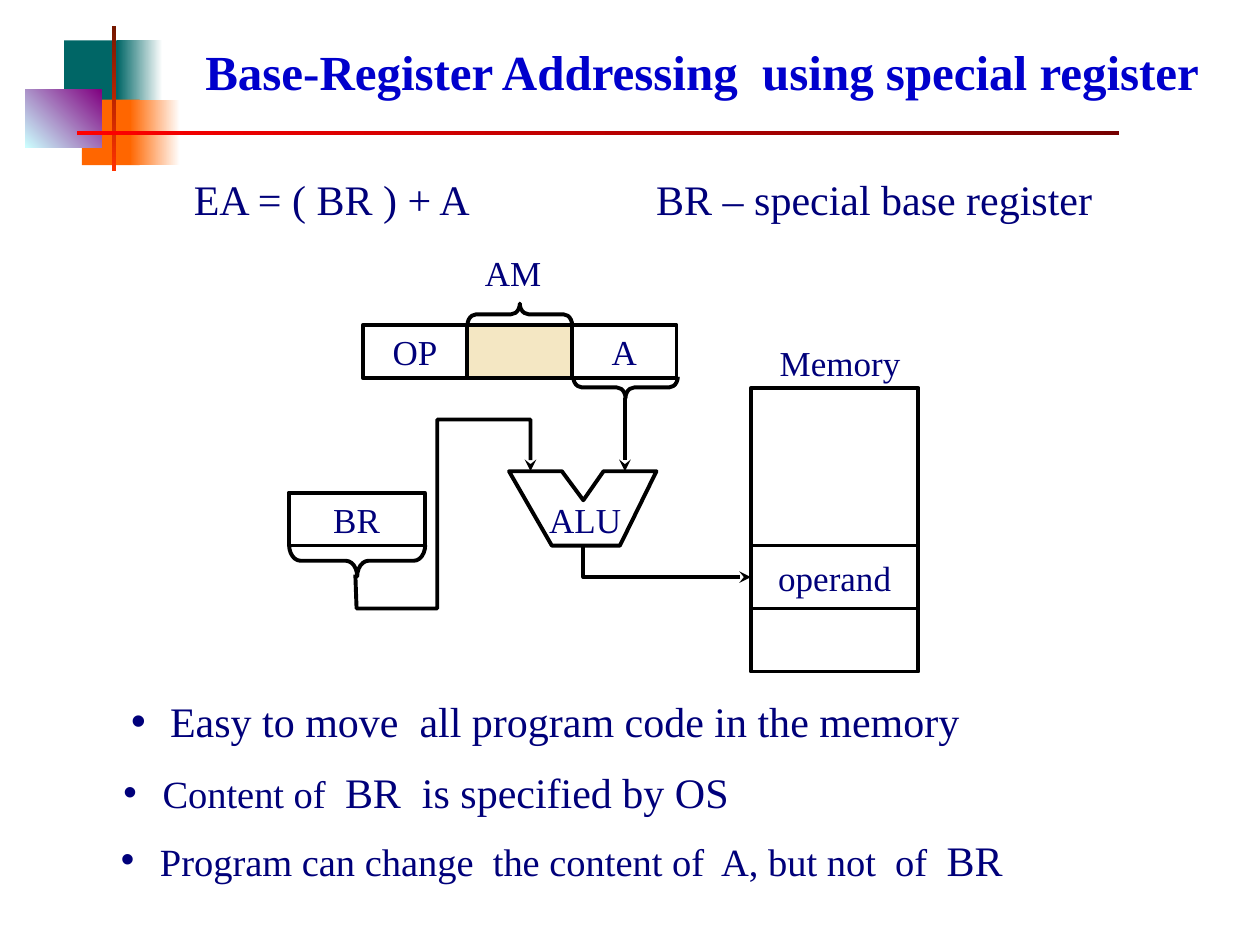
from dataclasses import dataclass
from typing import Optional

from lxml import etree
from pptx import Presentation
from pptx.dml.color import RGBColor
from pptx.enum import shapes, text
from pptx.oxml.ns import qn
from pptx.util import Inches, Pt

FONT = "Times New Roman"
BLACK = RGBColor(0x00, 0x00, 0x00)
WHITE = RGBColor(0xFF, 0xFF, 0xFF)
NAVY = RGBColor(0x00, 0x00, 0x7A)
TITLE_BLUE = RGBColor(0x00, 0x00, 0xCC)
TEAL = RGBColor(0x00, 0x66, 0x66)
ORANGE = RGBColor(0xFF, 0x66, 0x00)
PURPLE = RGBColor(0x80, 0x00, 0x80)
PALE_CYAN = RGBColor(0xCC, 0xFF, 0xFF)
BROWN = RGBColor(0x76, 0x18, 0x00)
RED_ORANGE = RGBColor(0xFF, 0x33, 0x00)
RED = RGBColor(0xFF, 0x00, 0x00)
MAROON = RGBColor(0x76, 0x00, 0x00)
SAND = RGBColor(0xEB, 0xD1, 0x89)

Point = tuple[float, float]
Area = tuple[float, float, float, float]


@dataclass
class Ornament:
    area: Area
    start: RGBColor
    end: Optional[RGBColor] = None
    angle: int = 0  # counter-clockwise


@dataclass
class Cell:
    area: Area
    label: str = ""
    fill: Optional[RGBColor] = None


@dataclass
class Label:
    area: Area
    words: str
    size: int = 20
    wrap: bool = False


@dataclass
class Brace:
    area: Area
    rotation: int


@dataclass
class Bullet:
    spans: list[tuple[str, int]]
    indent: float
    before: float = 0
    spacing: float = 1.0


ORNAMENTS = [
    Ornament((0.51, 0.32, 0.48, 0.52), TEAL),
    Ornament((0.93, 0.32, 0.36, 0.52), WHITE, TEAL, 180),
    Ornament((0.65, 0.79, 0.46, 0.52), ORANGE),
    Ornament((1.03, 0.79, 0.4, 0.52), WHITE, ORANGE, 180),
    Ornament((0.2, 0.71, 0.61, 0.46), PURPLE, PALE_CYAN, 225),
    Ornament((0.89, 0.21, 0.03, 1.15), BROWN, RED_ORANGE, 270),
    Ornament((0.61, 1.04, 8.27, 0.03), RED, MAROON),
]
FIELD_WIDTH = 0.83
INSTRUCTION = [
    Cell((2.88 + FIELD_WIDTH * index, 2.58, FIELD_WIDTH, 0.42), label, fill)
    for index, (label, fill) in enumerate([("OP", None), ("", SAND), ("A", None)])
]
MEMORY = [
    Cell((5.96, 3.08, 1.33, 1.25)),
    Cell((5.96, 4.33, 1.33, 0.5), "operand"),
    Cell((5.96, 4.83, 1.33, 0.5)),
]
BASE_REGISTER = Cell((2.29, 3.91, 1.08, 0.42), "BR")
LABELS = [
    Label((1.44, 1.33, 2.43, 0.5), "EA = ( BR ) + A", 24),
    Label((5.11, 1.33, 3.8, 0.5), "BR – special base register", 24, True),
    Label((6.09, 2.66, 1.16, 0.44), "Memory"),
    Label((3.75, 1.95, 0.65, 0.44), "AM"),
    Label((4.26, 3.91, 0.77, 0.44), "ALU"),
]
BRACES = [
    Brace((4.04, 2.08, 0.17, 0.83), 90),
    Brace((4.88, 2.66, 0.17, 0.83), 270),
    Brace((2.71, 3.91, 0.25, 1.08), 270),
]
ALU = [(4.04, 3.74), (4.46, 3.74), (4.63, 3.97), (4.79, 3.74),
       (5.21, 3.74), (4.92, 4.33), (4.38, 4.33)]
BASE_TO_ALU = [(2.82, 4.56), (2.83, 4.83), (3.47, 4.83),
               (3.47, 3.33), (4.21, 3.33), (4.21, 3.74)]
ALU_TO_OPERAND = [(4.63, 4.33), (4.63, 4.58), (5.96, 4.58)]
BULLETS = [
    Bullet([("Easy to move  all program code in the memory", 24)], 0.08),
    Bullet([("Content of  ", 22), ("BR  is specified by OS", 24)], 0.02, 7.5, 1.15),
    Bullet([("Program can change  the content of  A, but not  of  ", 22),
            ("BR", 24)], 0, 5.5, 1.15),
]
HANGING = 0.31


def inches(area: Area) -> list[Inches]:
    return [Inches(value) for value in area]


def place(shape, area: Area) -> None:
    shape.left, shape.top, shape.width, shape.height = inches(area)


def write(para, words: str, size: int = 20, color: RGBColor = NAVY, bold: bool = False) -> None:
    span = para.add_run()
    span.text = words
    span.font.name, span.font.size = FONT, Pt(size)
    span.font.color.rgb, span.font.bold = color, bold


def outline(shape, arrow: bool = False) -> None:
    shape.line.color.rgb = BLACK
    shape.line.width = Pt(2.25)
    if arrow:
        etree.SubElement(shape.line._get_or_add_ln(), qn("a:tailEnd"), type="stealth")


def draw_ornament(page, ornament: Ornament) -> None:
    block = page.shapes.add_shape(shapes.MSO_SHAPE.RECTANGLE, *inches(ornament.area))
    block.shadow.inherit = False
    block.line.fill.background()
    if ornament.end is None:
        block.fill.solid()
        block.fill.fore_color.rgb = ornament.start
        return
    block.fill.gradient()
    block.fill.gradient_angle = ornament.angle
    for stop, color in zip(block.fill.gradient_stops, (ornament.start, ornament.end)):
        stop.color.rgb = color


def draw_cell(page, cell: Cell) -> None:
    box = page.shapes.add_shape(shapes.MSO_SHAPE.RECTANGLE, *inches(cell.area))
    box.shadow.inherit = False
    outline(box)
    if cell.fill is None:
        box.fill.background()
    else:
        box.fill.solid()
        box.fill.fore_color.rgb = cell.fill
        color = box._element.spPr.find(f"{qn('a:solidFill')}/{qn('a:srgbClr')}")
        etree.SubElement(color, qn("a:alpha"), val="50000")
    if cell.label:
        box.text_frame.word_wrap = False
        box.text_frame.vertical_anchor = text.MSO_ANCHOR.MIDDLE
        para = box.text_frame.paragraphs[0]
        para.alignment = text.PP_ALIGN.CENTER
        write(para, cell.label)


def draw_label(page, label: Label) -> None:
    box = page.shapes.add_textbox(*inches(label.area))
    box.text_frame.word_wrap = label.wrap
    write(box.text_frame.paragraphs[0], label.words, size=label.size)


def draw_brace(page, brace: Brace) -> None:
    shape = page.shapes.add_shape(shapes.MSO_SHAPE.LEFT_BRACE, *inches(brace.area))
    shape.shadow.inherit = False
    shape.fill.background()
    outline(shape)
    shape.rotation = brace.rotation
    width, height = brace.area[2:]
    shape.adjustments[0] = height / 12 / width


def draw_path(page, points: list[Point], close: bool = False, arrow: bool = False) -> None:
    corners = [(Inches(x), Inches(y)) for x, y in points]
    builder = page.shapes.build_freeform(*corners[0])
    builder.add_line_segments(corners[1:], close=close)
    shape = builder.convert_to_shape()
    shape.shadow.inherit = False
    shape.fill.background()
    outline(shape, arrow)


def draw_arrow(page, start: Point, end: Point) -> None:
    line = page.shapes.add_connector(
        shapes.MSO_CONNECTOR.STRAIGHT, *inches((*start, *end)))
    outline(line, arrow=True)
    etree.SubElement(line._element.spPr, qn("a:effectLst"))


def fill_title(title) -> None:
    place(title, (1.53, 0.21, 8.27, 0.64))
    frame = title.text_frame
    frame.auto_size = text.MSO_AUTO_SIZE.NONE
    frame.vertical_anchor = text.MSO_ANCHOR.BOTTOM
    para = frame.paragraphs[0]
    para.alignment = text.PP_ALIGN.LEFT
    write(para, "Base-Register Addressing  using special register",
          size=28, color=TITLE_BLUE, bold=True)


def fill_list(body) -> None:
    place(body, (0.86, 5.47, 9, 1.56))
    frame = body.text_frame
    frame.auto_size = text.MSO_AUTO_SIZE.NONE
    for index, bullet in enumerate(BULLETS):
        para = frame.add_paragraph() if index else frame.paragraphs[0]
        layout = para._p.get_or_add_pPr()
        layout.set("marL", str(Inches(bullet.indent + HANGING)))
        layout.set("indent", str(-Inches(HANGING)))
        color = etree.SubElement(layout, qn("a:buClr"))
        etree.SubElement(color, qn("a:srgbClr"), val=str(NAVY))
        etree.SubElement(layout, qn("a:buChar"), char="•")
        para.space_before = Pt(bullet.before)
        para.line_spacing = bullet.spacing
        for words, size in bullet.spans:
            write(para, words, size=size)


def main() -> None:
    deck = Presentation()
    deck.slide_width, deck.slide_height = Inches(10), Inches(7.5)
    page = deck.slides.add_slide(deck.slide_layouts[1])
    for ornament in ORNAMENTS:
        draw_ornament(page, ornament)
    fill_title(page.shapes.title)
    for cell in [*INSTRUCTION, *MEMORY, BASE_REGISTER]:
        draw_cell(page, cell)
    for brace in BRACES:
        draw_brace(page, brace)
    draw_path(page, ALU, close=True)
    draw_path(page, BASE_TO_ALU, arrow=True)
    draw_arrow(page, (4.96, 3.16), (4.96, 3.74))
    draw_path(page, ALU_TO_OPERAND, arrow=True)
    for label in LABELS:
        draw_label(page, label)
    fill_list(page.placeholders[1])
    deck.save("out.pptx")


if __name__ == "__main__":
    main()
